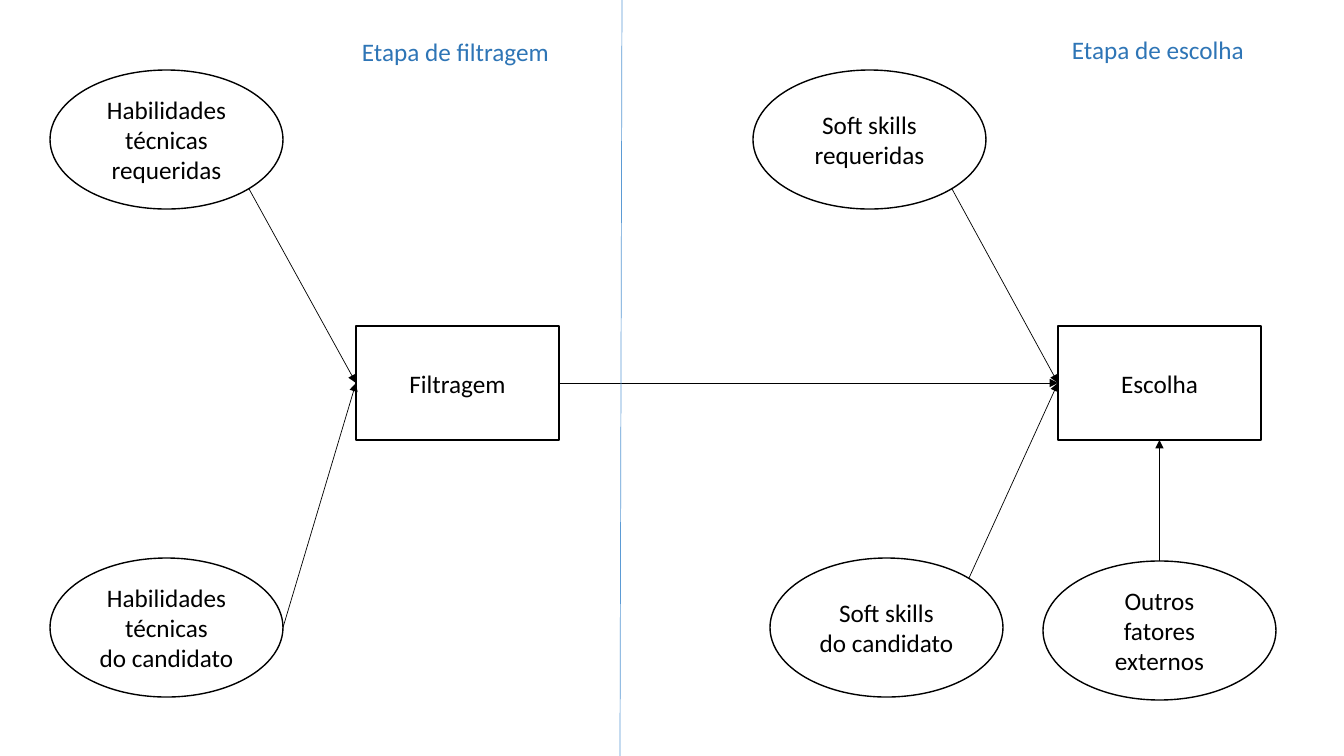
from dataclasses import dataclass
from math import cos, radians, sin

from lxml import etree
from pptx import Presentation
from pptx.dml.color import RGBColor
from pptx.enum.shapes import MSO_CONNECTOR, MSO_SHAPE
from pptx.enum.text import MSO_ANCHOR, MSO_AUTO_SIZE, PP_ALIGN
from pptx.oxml.ns import qn
from pptx.util import Pt

ELLIPSE, RECTANGLE = MSO_SHAPE.OVAL, MSO_SHAPE.RECTANGLE
STRAIGHT = MSO_CONNECTOR.STRAIGHT
MIDDLE, CENTER = MSO_ANCHOR.MIDDLE, PP_ALIGN.CENTER
GROW = MSO_AUTO_SIZE.SHAPE_TO_FIT_TEXT

EMU_PER_PIXEL = 914400 / 100.8
SLIDE_WIDTH, SLIDE_HEIGHT = 1344, 756
FACTOR_SIZE = (233, 139)
STEP_SIZE = (203, 114)
# Connection sites of a rectangle
LEFT_SITE, BOTTOM_SITE, RIGHT_SITE = 1, 2, 3
# Angles on an ellipse, clockwise from its right end
LOWER_RIGHT, RIGHT_END, UPPER_RIGHT, TOP = 45, 0, -45, -90


@dataclass(frozen=True)
class Theme:
    font: str = "Calibri"
    size: Pt = Pt(18)
    ink: RGBColor = RGBColor(0, 0, 0)
    paper: RGBColor = RGBColor(255, 255, 255)
    heading: RGBColor = RGBColor(0x2E, 0x75, 0xB6)
    divider: RGBColor = RGBColor(0x5B, 0x9B, 0xD5)
    outline: Pt = Pt(1)
    thin: Pt = Pt(0.5)


THEME = Theme()


def px(value):
    return round(value * EMU_PER_PIXEL)


def write(text_frame, text, color, alignment=None):
    text_frame.text = text
    for paragraph in text_frame.paragraphs:
        paragraph.alignment = alignment
        paragraph.font.name = THEME.font
        paragraph.font.size = THEME.size
        paragraph.font.color.rgb = color


def add_node(slide, kind, left, top, size, text):
    shape = slide.shapes.add_shape(kind, px(left), px(top), *map(px, size))
    shape.shadow.inherit = False
    shape.fill.solid()
    shape.fill.fore_color.rgb = THEME.paper
    shape.line.color.rgb = THEME.ink
    shape.line.width = THEME.outline
    shape.text_frame.word_wrap = True
    shape.text_frame.vertical_anchor = MIDDLE
    write(shape.text_frame, text, THEME.ink, CENTER)
    return shape


def add_line(slide, start, end, color):
    line = slide.shapes.add_connector(STRAIGHT, *start, *end)
    line.line.color.rgb = color
    line.line.width = THEME.thin
    etree.SubElement(line._element.spPr, qn("a:effectLst"))
    return line


def add_arrow(slide, start, step, site):
    arrow = add_line(slide, start, start, THEME.ink)
    arrow.end_connect(step, site)
    etree.SubElement(arrow.line._get_or_add_ln(), qn("a:tailEnd"), type="triangle")
    return arrow


def ellipse_point(ellipse, angle):
    turn = radians(angle)
    return (round(ellipse.left + ellipse.width * (1 + cos(turn)) / 2),
            round(ellipse.top + ellipse.height * (1 + sin(turn)) / 2))


def add_stage(slide, box, heading, step_text, factors):
    """Draw a heading, a step and the factors that lead to it; return the step."""
    left, top, width, height = box

    # Heading
    heading_text, heading_left, heading_top, heading_width = heading
    label = slide.shapes.add_textbox(px(left + heading_left), px(top + heading_top),
                                     px(heading_width), px(40))
    label.text_frame.word_wrap = False
    label.text_frame.auto_size = GROW
    write(label.text_frame, heading_text, THEME.heading)

    # Step, at the right of the factors
    step_top = top + (height - STEP_SIZE[1]) / 2
    step = add_node(slide, RECTANGLE, left + width - STEP_SIZE[0], step_top,
                    STEP_SIZE, step_text)

    # Factors, each with its arrow
    for text, factor_left, factor_top, angle, site in factors:
        factor = add_node(slide, ELLIPSE, left + factor_left, top + factor_top,
                          FACTOR_SIZE, text)
        add_arrow(slide, ellipse_point(factor, angle), step, site)
    return step


def build_slide(presentation):
    slide = presentation.slides.add_slide(presentation.slide_layouts[6])

    filtering = add_stage(
        slide, (50, 10, 509, 746), ("Etapa de filtragem", 302, 21, 210), "Filtragem",
        [("Habilidades técnicas requeridas", 0, 60, LOWER_RIGHT, LEFT_SITE),
         ("Habilidades técnicas\ndo candidato", 0, 548, RIGHT_END, LEFT_SITE)])
    choice = add_stage(
        slide, (753, 10, 508, 746), ("Etapa de escolha", 309, 19, 195), "Escolha",
        [("Soft skills requeridas", 0, 60, LOWER_RIGHT, LEFT_SITE),
         ("Soft skills\ndo candidato", 17, 548, UPPER_RIGHT, LEFT_SITE),
         ("Outros fatores externos", 290, 551, TOP, BOTTOM_SITE)])

    # Passage from one stage to the next
    passage = add_arrow(slide, (0, 0), choice, LEFT_SITE)
    passage.begin_connect(filtering, RIGHT_SITE)

    # Divider between the stages
    add_line(slide, (px(622), 0), (px(620), px(SLIDE_HEIGHT)), THEME.divider)


presentation = Presentation()
presentation.slide_width = px(SLIDE_WIDTH)
presentation.slide_height = px(SLIDE_HEIGHT)
build_slide(presentation)
presentation.save("out.pptx")
